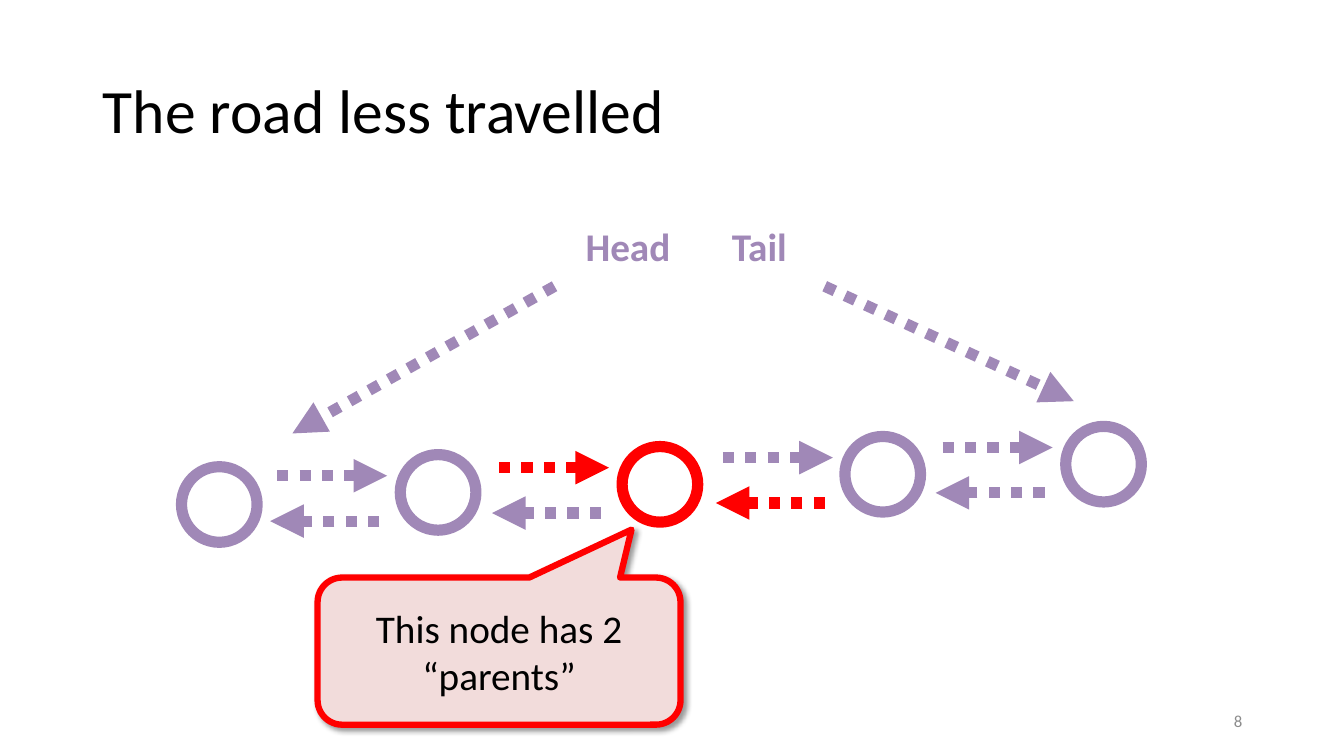
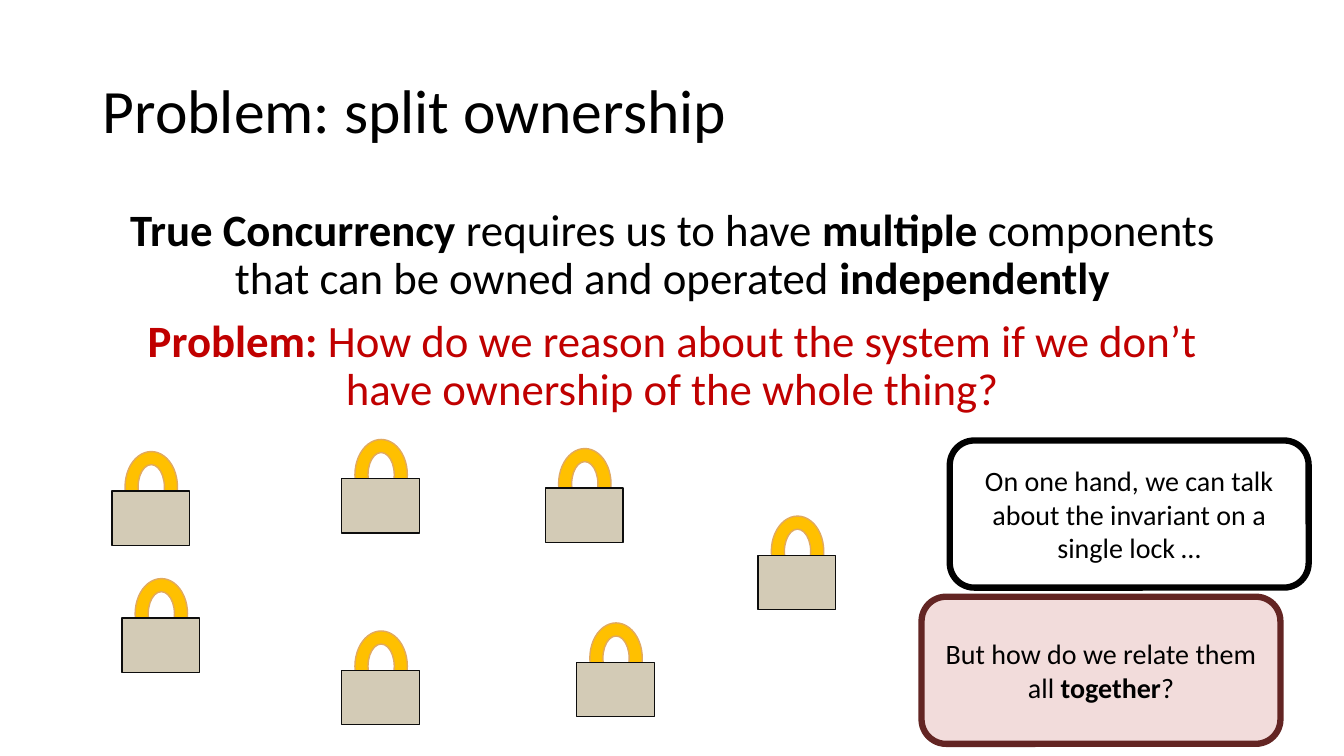
"""Two slides on linked nodes and split ownership of locks."""
from lxml import etree
from pptx import Presentation
from pptx.dml.color import RGBColor
from pptx.enum.dml import MSO_LINE
from pptx.enum.shapes import MSO_CONNECTOR, MSO_SHAPE
from pptx.enum.text import MSO_ANCHOR, MSO_AUTO_SIZE, PP_ALIGN
from pptx.oxml import parse_xml
from pptx.oxml.ns import nsdecls, qn
from pptx.util import Inches, Pt

FONT = "Calibri"
COLORS = {
    "black": "000000", "white": "FFFFFF", "gray": "8C8C8C",
    "purple": "A088B7", "red": "FF0000", "crimson": "C00000",
    "maroon": "632523", "pink": "F2DCDB", "gold": "FFC000",
    "bronze": "E1A95F", "stone": "D3CBB6", "ink": "0D0D0D",
}
COLORS = {name: RGBColor.from_string(value) for name, value in COLORS.items()}


def draw(shapes, kind, at, line, width, fill=None):
    """Add an outlined preset shape without a shadow."""
    shape = shapes.add_shape(kind, *map(Inches, at))
    shape.shadow.inherit = False
    shape.line.color.rgb = COLORS[line]
    shape.line.width = Pt(width)
    if fill:
        shape.fill.solid()
        shape.fill.fore_color.rgb = COLORS[fill]
    else:
        shape.fill.background()
    return shape


def write(para, spans, size, color, align=PP_ALIGN.LEFT):
    """Fill a paragraph with (text, bold) spans in one font."""
    para.alignment = align
    para.font.name = FONT
    para.font.size = Pt(size)
    para.font.color.rgb = COLORS[color]
    for text, bold in spans:
        span = para.add_run()
        span.text = text
        span.font.bold = bold


deck = Presentation()
deck.slide_width, deck.slide_height = Inches(13.33), Inches(7.5)

pages = []
for heading in ("The road less travelled", "Problem: split ownership"):
    page = deck.slides.add_slide(deck.slide_layouts[5])
    title = page.shapes.title
    title.left, title.top = Inches(0.92), Inches(0.4)
    title.width, title.height = Inches(10.76), Inches(1.45)
    frame = title.text_frame
    frame.auto_size = MSO_AUTO_SIZE.NONE
    frame.vertical_anchor = MSO_ANCHOR.MIDDLE
    para = frame.paragraphs[0]
    para.line_spacing = 0.9
    write(para, [(heading, False)], 44, "black")
    pages.append(page)
road, ownership = pages

number = road.shapes.add_textbox(Inches(9.42), Inches(6.95), Inches(3), Inches(0.4))
number.text_frame.vertical_anchor = MSO_ANCHOR.MIDDLE
write(number.text_frame.paragraphs[0], [("8", False)], 12, "gray", PP_ALIGN.RIGHT)

for label, left in (("Head", 5.71), ("Tail", 7.16)):
    box = road.shapes.add_textbox(Inches(left), Inches(2.16), Inches(1.2), Inches(0.57))
    write(box.text_frame.paragraphs[0], [(label, True)], 28, "purple")

nodes = [(1.8, 4.63), (3.97, 4.51), (6.17, 4.43), (8.38, 4.33), (10.57, 4.23)]
for index, (left, top) in enumerate(nodes):
    draw(road.shapes, MSO_SHAPE.OVAL, (left, top, 0.75, 0.75),
         "red" if index == 2 else "purple", 8)

arrows = [(5.5, 2.84, 2.9, 4.3, "purple"), (8.18, 2.84, 10.65, 3.98, "purple")]
for index, (x, y) in enumerate([(2.75, 4.72), (4.95, 4.64), (7.17, 4.54), (9.35, 4.44)]):
    arrows += [
        (x, y, x + 1.09, y, "red" if index == 1 else "purple"),
        (x + 1.01, y + 0.45, x - 0.07, y + 0.45, "red" if index == 2 else "purple"),
    ]
for *ends, color in arrows:
    arrow = road.shapes.add_connector(MSO_CONNECTOR.STRAIGHT, *map(Inches, ends))
    arrow.line.color.rgb = COLORS[color]
    arrow.line.width = Pt(8)
    arrow.line.dash_style = MSO_LINE.ROUND_DOT
    etree.SubElement(arrow.line._get_or_add_ln(), qn("a:tailEnd"), type="triangle")
    etree.SubElement(arrow._element.spPr, qn("a:effectLst"))

body = ownership.shapes.add_textbox(Inches(0.92), Inches(2.01), Inches(11.5), Inches(2.3))
body.text_frame.word_wrap = True
statement, question = body.text_frame.paragraphs[0], body.text_frame.add_paragraph()
write(statement, [
    ("True Concurrency", True), (" requires us to have ", False), ("multiple", True),
    (" components that can be owned and operated ", False), ("independently", True),
], 32, "black", PP_ALIGN.CENTER)
write(question, [
    ("Problem:", True),
    (" How do we reason about the system if we don’t have ownership of the whole thing?", False),
], 32, "crimson", PP_ALIGN.CENTER)
statement.line_spacing = question.line_spacing = 0.9
question.space_before = Pt(10)

locks = [(1.21, 5.74), (3.39, 6.26), (1.11, 4.48), (5.72, 6.18),
         (7.52, 5.12), (3.39, 4.36), (5.41, 4.45)]
for left, top in locks:
    lock = ownership.shapes.add_group_shape()
    draw(lock.shapes, MSO_SHAPE.DONUT, (left + 0.13, top, 0.52, 0.7), "bronze", 1, "gold")
    draw(lock.shapes, MSO_SHAPE.RECTANGLE, (left, top + 0.39, 0.77, 0.54), "ink", 1, "stone")

callout = draw(road.shapes, MSO_SHAPE.ROUNDED_RECTANGULAR_CALLOUT,
               (3.15, 5.73, 3.6, 1.46), "red", 4.5, "pink")
callout.adjustments[0], callout.adjustments[1] = 0.365, -0.826
callout._element.spPr.find(qn("a:effectLst")).append(parse_xml(
    f'<a:outerShdw {nsdecls("a")} blurRad="{Pt(4)}" dist="{Pt(3)}" dir="2700000">'
    '<a:srgbClr val="000000"><a:alpha val="40000"/></a:srgbClr></a:outerShdw>'))
single = draw(ownership.shapes, MSO_SHAPE.ROUNDED_RECTANGLE,
              (9.42, 4.37, 3.56, 1.46), "black", 4.5, "white")
together = draw(ownership.shapes, MSO_SHAPE.ROUNDED_RECTANGLE,
                (9.14, 5.92, 3.56, 1.46), "maroon", 4.5, "pink")
notes = [
    (callout, 28, [("This node has 2 “parents”", False)]),
    (single, 20, [("On one hand, we can talk about the invariant on a single lock …", False)]),
    (together, 20, [("But how do we relate them all ", False), ("together", True), ("?", False)]),
]
for box, size, spans in notes:
    box.text_frame.word_wrap = True
    box.text_frame.vertical_anchor = MSO_ANCHOR.MIDDLE
    write(box.text_frame.paragraphs[0], spans, size, "black", PP_ALIGN.CENTER)

deck.save("out.pptx")
